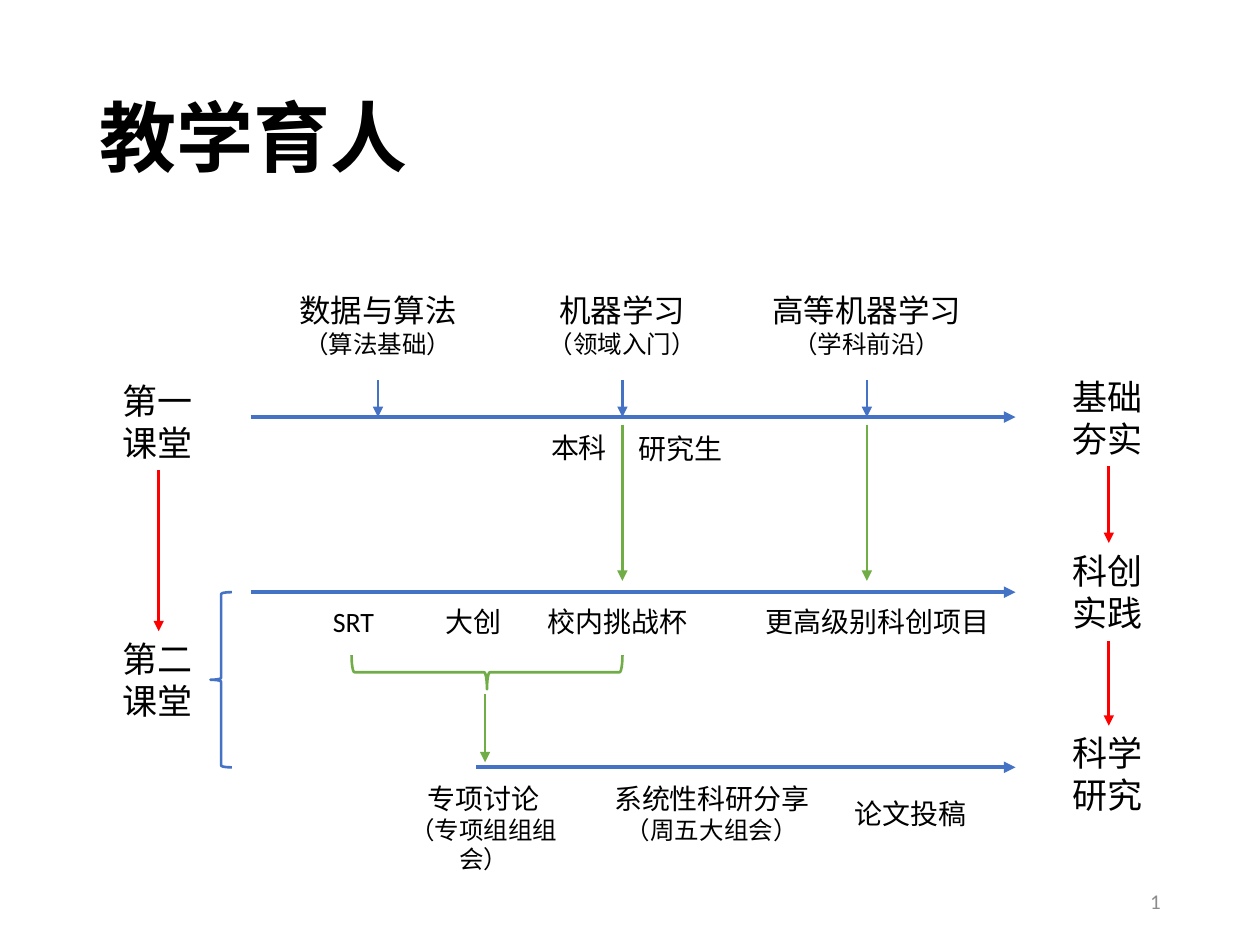
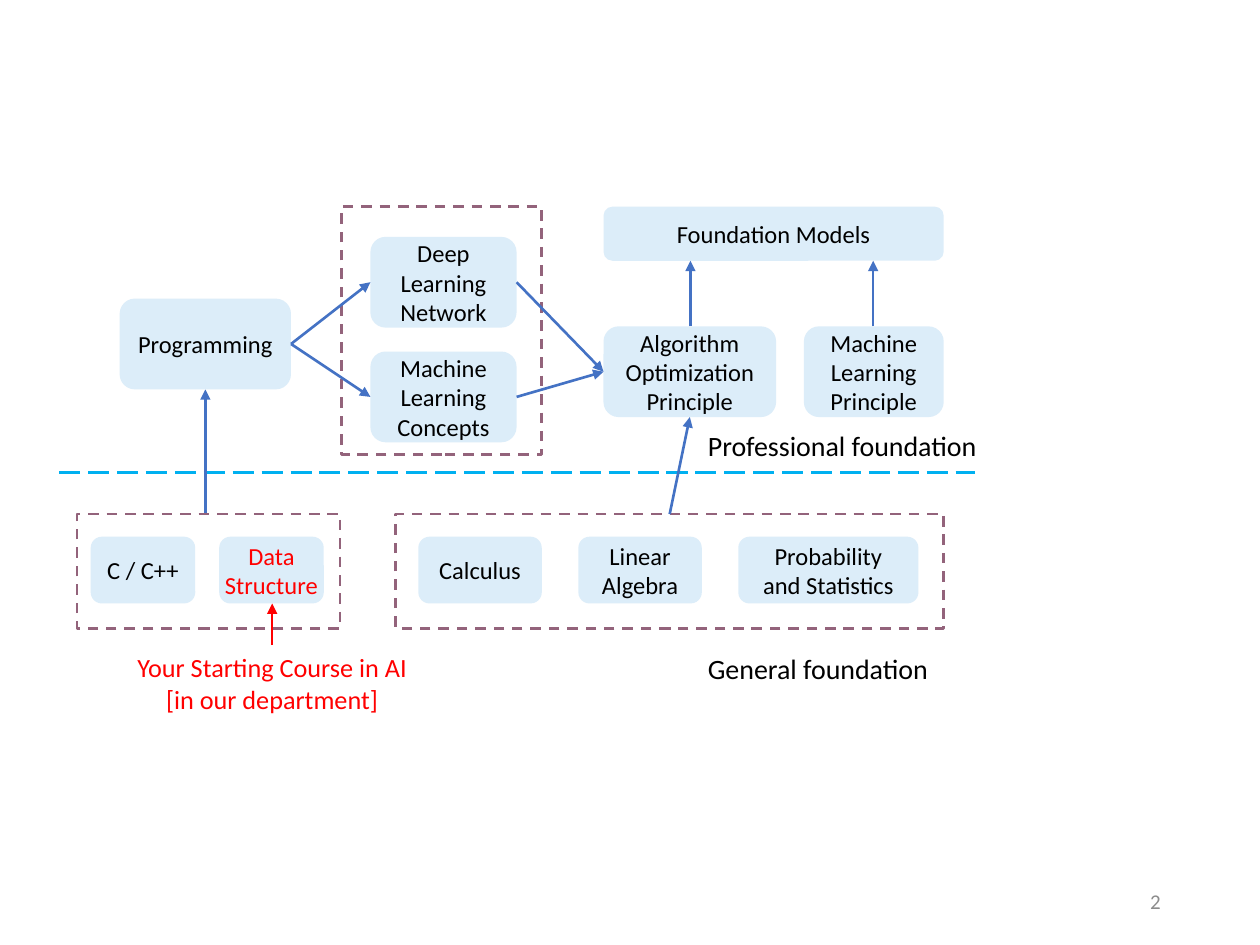
import dataclasses

import lxml.etree
import pptx
import pptx.dml.color
import pptx.enum.dml
import pptx.enum.shapes
import pptx.enum.text
import pptx.oxml.ns
import pptx.util

ALIGN = pptx.enum.text.PP_ALIGN
ANCHOR = pptx.enum.text.MSO_ANCHOR
DASH = pptx.enum.dml.MSO_LINE
SHAPE = pptx.enum.shapes.MSO_SHAPE
EMU_PER_PX = 9144  # 100 px to the inch
TOP, LEFT, BOTTOM, RIGHT = range(4)  # connection sites of a rectangle


@dataclasses.dataclass(frozen=True)
class Theme:
    latin: str = "Calibri"
    asian: str = "Noto Sans CJK SC"
    black: str = "000000"
    grey: str = "8C8C8C"
    blue: str = "4472C4"
    green: str = "70AD47"
    red: str = "FF0000"
    cyan: str = "00B0F0"
    plum: str = "93637B"
    pale: str = "DCEDF9"
    title: int = 44
    stage: int = 20
    course: int = 18
    body: int = 16
    callout: int = 15
    small: int = 14
    footer: int = 12
    thin: float = 1.5
    thick: float = 2.25


THEME = Theme()


def px(*lengths):
    return [pptx.util.Emu(length * EMU_PER_PX) for length in lengths]


def rgb(code):
    return pptx.dml.color.RGBColor.from_string(code)


def tag(name):
    return pptx.oxml.ns.qn(name)


def write(box, text, *, size=THEME.body, sub_size=None, color=THEME.black, align=ALIGN.CENTER,
          anchor=ANCHOR.TOP, latin=THEME.latin, bold=False, spacing=None, wrap=True):
    """Fill a box, one paragraph per line; lines after the first take sub_size."""
    frame = box.text_frame
    frame.word_wrap = wrap
    frame.vertical_anchor = anchor
    for index, line in enumerate(text.split("\n")):
        para = frame.add_paragraph() if index else frame.paragraphs[0]
        para.alignment = align
        if spacing:
            para.line_spacing = spacing
        span = para.add_run()
        span.text = line
        span.font.size = pptx.util.Pt(sub_size if index and sub_size else size)
        span.font.name = latin
        span.font.bold = bold
        span.font.color.rgb = rgb(color)
        properties = span.font._element
        lxml.etree.SubElement(properties, tag("a:ea"), typeface=THEME.asian)


class Page:
    """The deck's style together with the slide now being drawn."""

    def __init__(self, deck):
        self.deck = deck
        self.shapes = None

    def start(self):
        self.shapes = self.deck.slides.add_slide(self.deck.slide_layouts[6]).shapes
        self.page_number()

    def page_number(self):
        box = self.shapes.add_textbox(*px(706, 695, 225, 40))
        write(box, str(len(self.deck.slides)), size=THEME.footer, color=THEME.grey,
              align=ALIGN.RIGHT, anchor=ANCHOR.MIDDLE)
        run = box.element.find(".//" + tag("a:r"))
        run.tag = tag("a:fld")
        run.set("id", "{B6F15528-21DE-4FAA-801E-634DDDAF4B2B}")
        run.set("type", "slidenum")

    def title(self, text):
        box = self.shapes.add_textbox(*px(69, 40, 862, 145))
        write(box, text, size=THEME.title, latin=THEME.asian, bold=True, spacing=0.9,
              align=ALIGN.LEFT, anchor=ANCHOR.MIDDLE)

    def label(self, text, left, top, width, height=37, **style):
        box = self.shapes.add_textbox(*px(left, top, width, height))
        write(box, text, **style)
        box.text_frame.auto_size = pptx.enum.text.MSO_AUTO_SIZE.SHAPE_TO_FIT_TEXT

    def outline(self, kind, left, top, width, height, color, dash=None):
        shape = self.shapes.add_shape(kind, *px(left, top, width, height))
        shape.shadow.inherit = False
        shape.fill.background()
        shape.line.color.rgb = rgb(color)
        shape.line.width = pptx.util.Pt(THEME.thin)
        if dash:
            shape.line.dash_style = dash
        return shape

    def frame(self, left, top, width, height):
        return self.outline(SHAPE.RECTANGLE, left, top, width, height, THEME.plum, DASH.DASH)

    def node(self, text, left, top, width, height, inset=10, **style):
        shape = self.shapes.add_shape(SHAPE.ROUNDED_RECTANGLE, *px(left, top, width, height))
        shape.shadow.inherit = False
        shape.fill.solid()
        shape.fill.fore_color.rgb = rgb(THEME.pale)
        shape.line.fill.background()
        write(shape, text, size=THEME.small, anchor=ANCHOR.MIDDLE, **style)
        shape.text_frame.margin_left, shape.text_frame.margin_right = px(inset, inset)
        return shape

    def line(self, start, end, color=THEME.blue, width=THEME.thin, dash=None, arrow=True):
        straight = pptx.enum.shapes.MSO_CONNECTOR.STRAIGHT
        connector = self.shapes.add_connector(straight, *px(*start, *end))
        connector.line.color.rgb = rgb(color)
        connector.line.width = pptx.util.Pt(width)
        if dash:
            connector.line.dash_style = dash
        properties = connector.element.spPr
        if arrow:
            lxml.etree.SubElement(properties.find(tag("a:ln")), tag("a:tailEnd"), type="triangle")
        lxml.etree.SubElement(properties, tag("a:effectLst"))
        return connector

    def join(self, source, source_site, target, target_site):
        connector = self.line((0, 0), (0, 0))
        connector.begin_connect(source, source_site)
        connector.end_connect(target, target_site)


def draw_teaching(page):
    page.start()
    page.title("教学育人")

    axis_end, first_axis, project_axis, research_axis = 806, 331, 470, 609
    for start, axis in ((199, first_axis), (199, project_axis), (378, research_axis)):
        page.line((start, axis), (axis_end, axis), width=THEME.thick)

    for text, left, top in (("第一课堂", 87, 296), ("第二课堂", 87, 501), ("基础夯实", 841, 293),
                            ("科创实践", 841, 431), ("科学研究", 841, 576)):
        page.label(text, left, top, 78, 77, size=THEME.stage, align=ALIGN.LEFT)
    for x, top, bottom in ((126, 373, 501), (880, 370, 431), (880, 509, 576)):
        page.line((x, top), (x, bottom), THEME.red)

    courses = (("数据与算法\n（算法基础）", 300, 146), ("机器学习\n（领域入门）", 494, 138),
               ("高等机器学习\n（学科前沿）", 688, 172))
    for text, center, width in courses:
        page.label(text, center - width // 2, 226, width, 64, size=THEME.course,
                   sub_size=THEME.small, wrap=False)
        page.line((center, 302), (center, first_axis))
    for _, center, _ in courses[1:]:
        page.line((center, 337), (center, 461), THEME.green)

    page.label("本科", 425, 337, 69)
    page.label("研究生", 493, 338, 94)
    for text, left, width in (("SRT", 250, 61), ("大创", 344, 69), ("校内挑战杯", 425, 137),
                              ("更高级别科创项目", 598, 202)):
        page.label(text, left, 475, width, align=ALIGN.LEFT if left > 250 else ALIGN.CENTER)

    page.outline(SHAPE.LEFT_BRACE, 167, project_axis, 17, research_axis - project_axis, THEME.blue)
    projects_brace = page.outline(SHAPE.LEFT_BRACE, 373, 426, 27, 215, THEME.green)
    projects_brace.rotation = 270
    page.line((385, 551), (385, 605), THEME.green)

    for text, left, width in (("专项讨论\n（专项组组组会）", 297, 174),
                              ("系统性科研分享\n（周五大组会）", 473, 184)):
        page.label(text, left, 615, width, 61, sub_size=THEME.small)
    page.label("论文投稿", 658, 627, 129)


def draw_course_map(page):
    page.start()
    page.line((47, 375), (774, 375), THEME.cyan, dash=DASH.LONG_DASH, arrow=False)

    page.line((163, 408), (163, 309))
    page.frame(61, 408, 209, 91)
    mathematics = page.frame(314, 408, 435, 91)
    page.frame(271, 164, 159, 197)

    for text, left, width in (("C / C++", 72, 83), ("Calculus", 332, 98),
                              ("Linear\nAlgebra", 459, 98),
                              ("Probability and Statistics", 586, 143)):
        page.node(text, left, 426, width, 53)
    page.node("Data\nStructure", 174, 426, 83, 53, inset=2, color=THEME.red)

    height = 72
    programming = page.node("Programming", 95, 237, 136, height)
    network = page.node("Deep Learning Network", 294, 188, 116, height)
    concepts = page.node("Machine Learning Concepts", 294, 279, 116, height)
    optimization = page.node("Algorithm Optimization Principle", 479, 259, 137, height)
    page.node("Machine Learning Principle", 638, 259, 111, height)
    page.node("Foundation Models", 479, 164, 270, 43)

    for course in (network, concepts):
        page.join(programming, RIGHT, course, LEFT)
        page.join(course, RIGHT, optimization, LEFT)
    page.join(mathematics, TOP, optimization, BOTTOM)
    for x in (548, 693):
        page.line((x, 259), (x, 207))

    page.label("Professional foundation", 552, 335, 236, align=ALIGN.LEFT, wrap=False)
    page.label("General foundation", 552, 512, 197, align=ALIGN.LEFT, wrap=False)
    page.label("Your Starting Course in AI\n[in our department]", 98, 512, 236, 61,
               size=THEME.callout, color=THEME.red, wrap=False)
    page.line((216, 512), (216, 479), THEME.red)


def main():
    deck = pptx.Presentation()
    deck.slide_width, deck.slide_height = px(1000, 750)
    page = Page(deck)
    draw_teaching(page)
    draw_course_map(page)
    deck.save("out.pptx")


if __name__ == "__main__":
    main()
